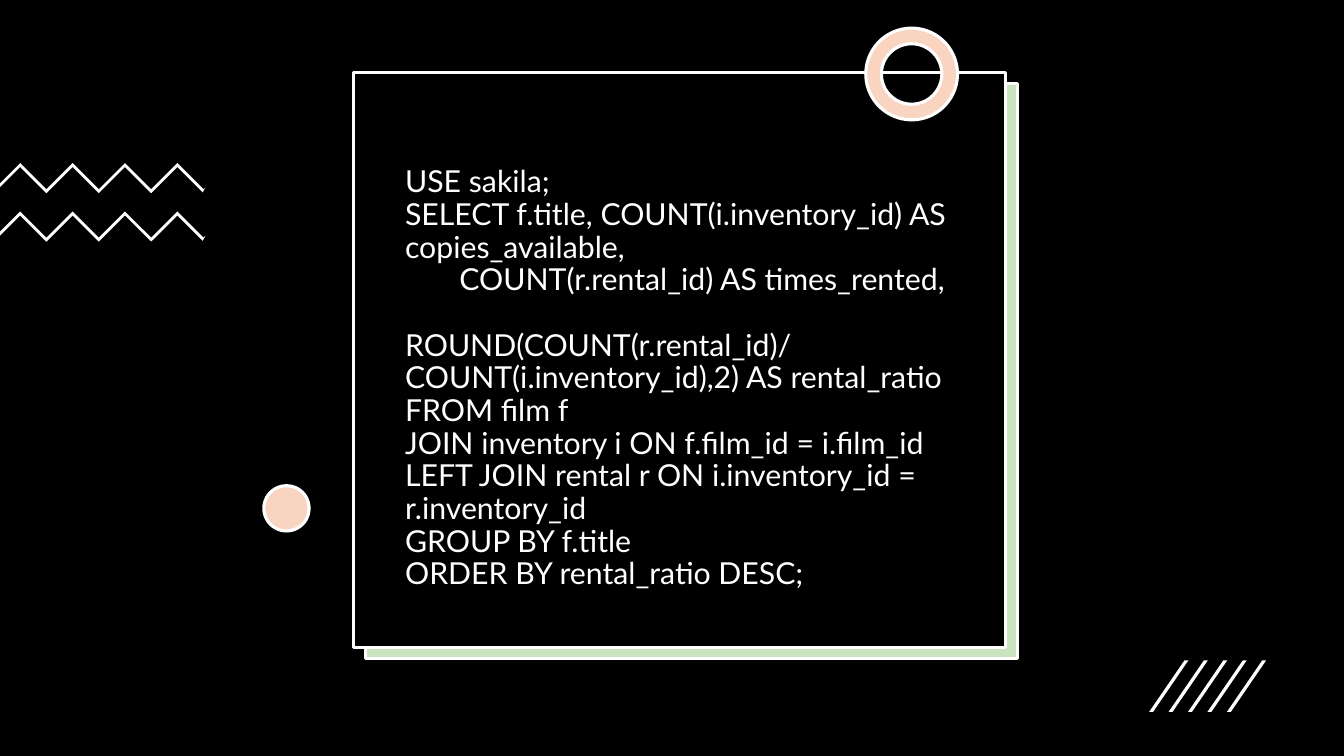
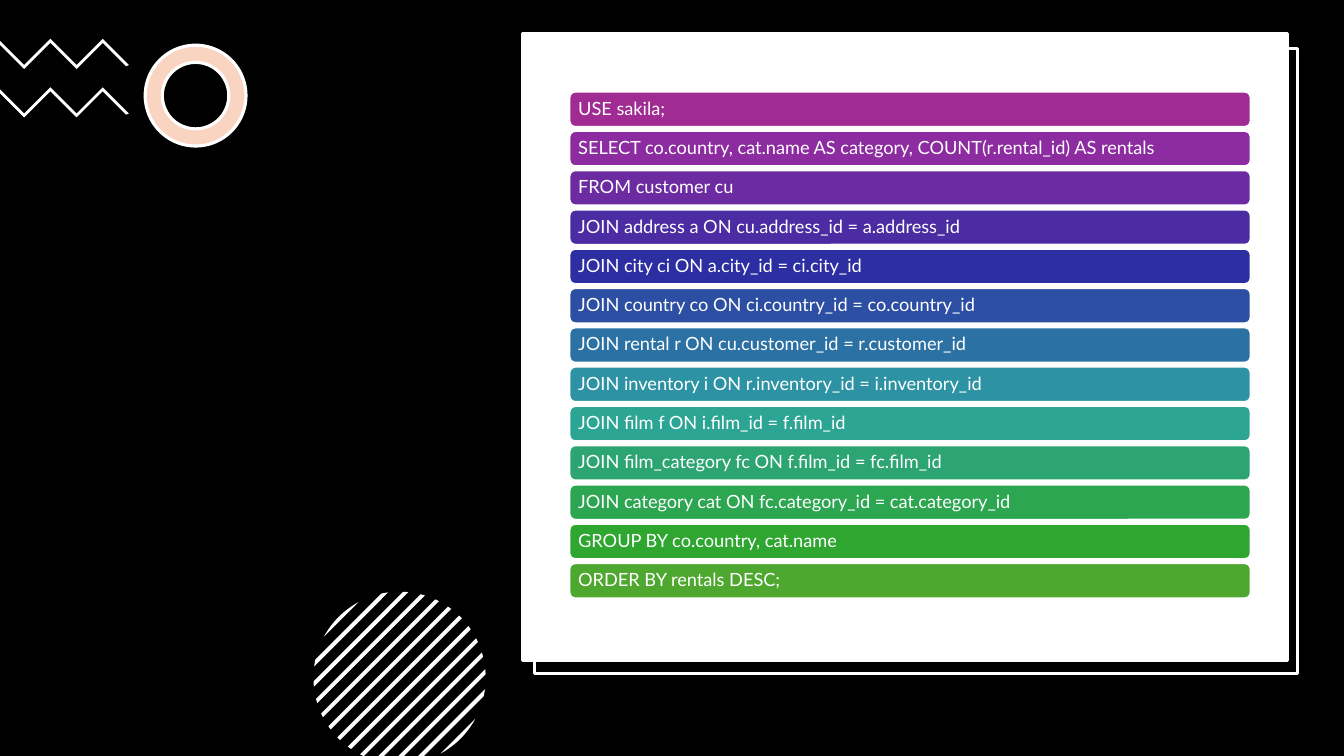
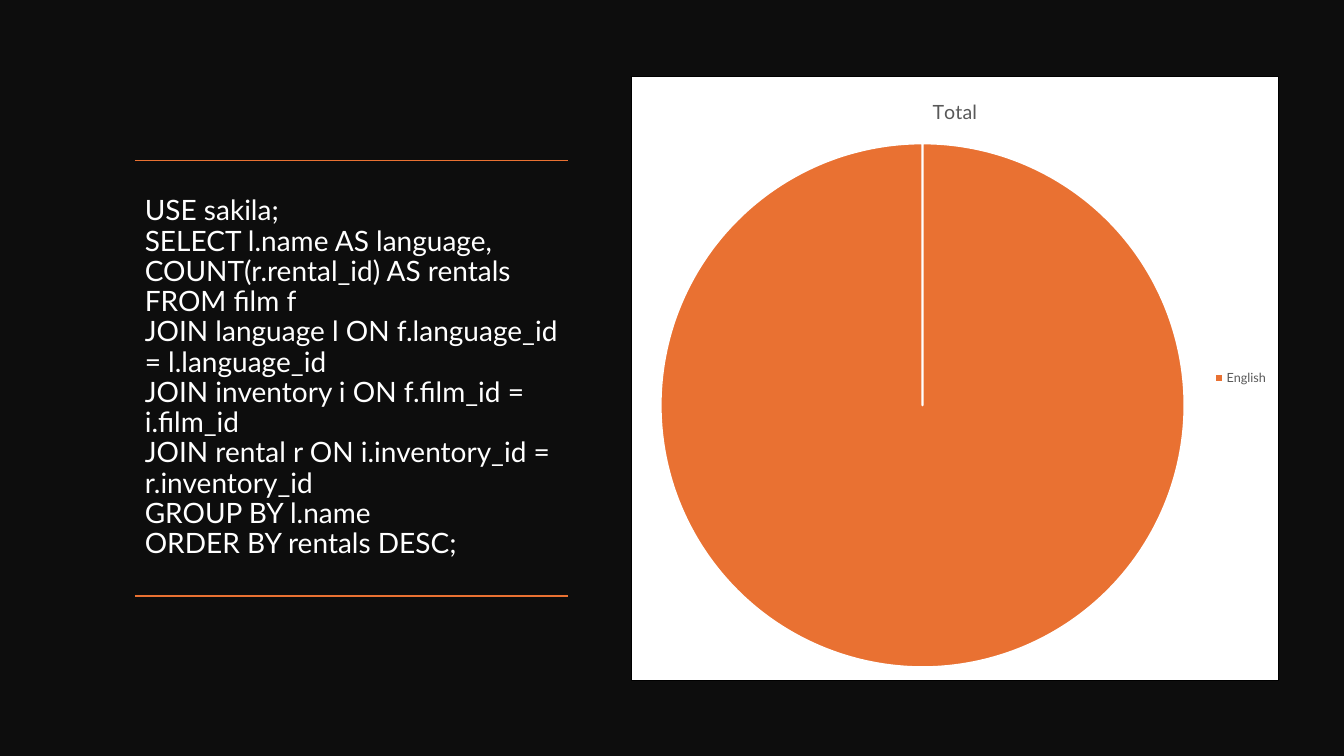
import math
from dataclasses import dataclass

from lxml import etree
from pptx import Presentation
from pptx import util as u
from pptx.chart.data import CategoryChartData
from pptx.dml.color import RGBColor
from pptx.enum import chart as ch
from pptx.enum import shapes, text
from pptx.oxml import ns, parse_xml

Cm, Pt = u.Cm, u.Pt
FONT = "Lato"
BLACK, NEAR_BLACK, WHITE = "000000", "0D0D0D", "FFFFFF"
ORANGE, GREEN, GREY = "E97132", "4EA72E", "595959"
SLIDE_W, SLIDE_H = 33.87, 19.05
OUTLINE = 2.25
SHAPE = shapes.MSO_SHAPE
ANCHOR = text.MSO_ANCHOR


@dataclass(frozen=True)
class Box:
    """Place and size in centimetres."""
    left: float
    top: float
    width: float
    height: float

    def emu(self) -> tuple:
        return Cm(self.left), Cm(self.top), Cm(self.width), Cm(self.height)


@dataclass(frozen=True)
class CodeLine:
    words: str
    indent: float = 0
    before: float = 0


@dataclass(frozen=True)
class Bar:
    words: str
    colour: str


RENTAL_RATIO = [
    CodeLine("USE sakila;"),
    CodeLine("SELECT f.title, COUNT(i.inventory_id) AS copies_available,"),
    CodeLine("COUNT(r.rental_id) AS times_rented,", indent=1.37),
    CodeLine("ROUND(COUNT(r.rental_id)/COUNT(i.inventory_id),2) AS rental_ratio",
             before=23.4),
    CodeLine("FROM film f"),
    CodeLine("JOIN inventory i ON f.film_id = i.film_id"),
    CodeLine("LEFT JOIN rental r ON i.inventory_id = r.inventory_id"),
    CodeLine("GROUP BY f.title"),
    CodeLine("ORDER BY rental_ratio DESC;"),
]

CATEGORY_BARS = [
    Bar("USE sakila;", "A02B93"),
    Bar("SELECT co.country, cat.name AS category, COUNT(r.rental_id) AS rentals",
        "8D2BA1"),
    Bar("FROM customer cu", "6C2BA1"),
    Bar("JOIN address a ON cu.address_id = a.address_id", "4B2CA2"),
    Bar("JOIN city ci ON a.city_id = ci.city_id", "2C2EA2"),
    Bar("JOIN country co ON ci.country_id = co.country_id", "2C4FA3"),
    Bar("JOIN rental r ON cu.customer_id = r.customer_id", "2C71A4"),
    Bar("JOIN inventory i ON r.inventory_id = i.inventory_id", "2D93A4"),
    Bar("JOIN film f ON i.film_id = f.film_id", "2DA594"),
    Bar("JOIN film_category fc ON f.film_id = fc.film_id", "2DA573"),
    Bar("JOIN category cat ON fc.category_id = cat.category_id", "2DA651"),
    Bar("GROUP BY co.country, cat.name", "2EA630"),
    Bar("ORDER BY rentals DESC;", GREEN),
]

LANGUAGE_RENTALS = [
    CodeLine("USE sakila;"),
    CodeLine("SELECT l.name AS language, COUNT(r.rental_id) AS rentals"),
    CodeLine("FROM film f"),
    CodeLine("JOIN language l ON f.language_id = l.language_id"),
    CodeLine("JOIN inventory i ON f.film_id = i.film_id"),
    CodeLine("JOIN rental r ON i.inventory_id = r.inventory_id"),
    CodeLine("GROUP BY l.name"),
    CodeLine("ORDER BY rentals DESC;"),
]


def rgb(colour: str) -> RGBColor:
    return RGBColor.from_string(colour)


def set_font(font, size: float, colour: str) -> None:
    font.name, font.size, font.bold = FONT, Pt(size), False
    font.color.rgb = rgb(colour)


def paint(sp, fill: str, line: str = "", width: float = OUTLINE) -> None:
    sp.shadow.inherit = False
    sp.fill.solid()
    sp.fill.fore_color.rgb = rgb(fill)
    if line:
        sp.line.color.rgb = rgb(line)
        sp.line.width = Pt(width)
    else:
        sp.line.fill.background()


def add_shape(parent, kind, box: Box, fill: str, line: str = "",
              width: float = OUTLINE, adjust: float | None = None):
    sp = parent.shapes.add_shape(kind, *box.emu())
    if adjust is not None:
        sp.adjustments[0] = adjust
    paint(sp, fill, line, width)
    return sp


def add_tinted(slide, kind, box: Box, colour: str,
               adjust: float | None = None) -> None:
    """A white shape under a 30 % wash of the colour, outlined in white."""
    add_shape(slide, kind, box, WHITE, adjust=adjust)
    sp = add_shape(slide, kind, box, colour, WHITE, adjust=adjust)
    clr = sp.fill._xPr.find(ns.qn("a:solidFill"))[0]
    etree.SubElement(clr, ns.qn("a:alpha"), val="30000")


def add_ring(slide, left: float, top: float, size: float) -> None:
    add_tinted(slide, SHAPE.DONUT, Box(left, top, size, size), ORANGE, 0.17)


def add_polygon(parent, points: list) -> None:
    """A white polygon through points given in centimetres."""
    emu = [(Cm(x), Cm(y)) for x, y in points]
    builder = parent.shapes.build_freeform(*emu[0])
    builder.add_line_segments(emu[1:], close=True)
    paint(builder.convert_to_shape(), WHITE)


def add_zigzags(slide, top: float, peak: float, end: float) -> None:
    """Two zigzag bands running in from the left edge; peak is the first crest."""
    step, thick, gap = 0.66, 0.1, 1.22

    def edge(y: float, right: float) -> list:
        turns = [peak + i * step for i in range(10)]
        xs = [0, *(x for x in turns if 0 < x < right), right]
        return [(x, y + abs((x - peak + step) % (2 * step) - step)) for x in xs]

    for y in (top, top + gap):
        add_polygon(slide, edge(y, end) + edge(y + thick, end - 0.07)[::-1])


def add_slashes(slide) -> None:
    group = slide.shapes.add_group_shape()
    for i in range(5):
        add_shape(group, SHAPE.PARALLELOGRAM,
                  Box(28.96 + 0.49 * i, 16.64, 0.99, 1.3), WHITE, adjust=0.9)


def add_hatched_circle(slide) -> None:
    """Diagonal stripes cut to a circle and to the foot of the slide."""
    cx, cy, radius, pitch, thick, arc_steps = 10.07, 17.08, 2.17, 0.355, 0.1, 6
    group = slide.shapes.add_group_shape()
    for k in range(-6, 7):
        near, far = (math.acos(max(-1, min(1, (k * pitch + d) / radius)))
                     for d in (-thick / 2, thick / 2))
        arc = [near + (far - near) * i / arc_steps for i in range(arc_steps + 1)]
        points = []
        for angle in arc + [-a for a in reversed(arc)]:
            x = cx + radius * math.cos(math.pi / 4 + angle)
            y = cy + radius * math.sin(math.pi / 4 + angle)
            over = max(0, y - SLIDE_H)
            points.append((x + over, y - over))
        add_polygon(group, points)


def add_code(slide, box: Box, lines: list, size: float, anchor) -> None:
    tf = slide.shapes.add_textbox(*box.emu()).text_frame
    tf.word_wrap = True
    tf.vertical_anchor = anchor
    for i, line in enumerate(lines):
        p = tf.add_paragraph() if i else tf.paragraphs[0]
        p.text = line.words
        p.line_spacing = 0.9
        p.space_before = Pt(line.before)
        set_font(p.font, size, WHITE)
        if line.indent:
            p._p.get_or_add_pPr().set("marL", str(Cm(line.indent)))


def add_bars(slide, bars: list) -> None:
    for i, bar in enumerate(bars):
        sp = add_shape(slide, SHAPE.ROUNDED_RECTANGLE,
                       Box(14.35, 2.31 + 0.99 * i, 17.17, 0.89),
                       bar.colour, WHITE, 1.5)
        tf = sp.text_frame
        tf.word_wrap = True
        tf.vertical_anchor = ANCHOR.MIDDLE
        tf.margin_left = tf.margin_right = Cm(0.18)
        tf.margin_top = tf.margin_bottom = Cm(0.13)
        p = tf.paragraphs[0]
        p.text = bar.words
        p.alignment = text.PP_ALIGN.LEFT
        p.line_spacing = 0.9
        set_font(p.font, 13, WHITE)


def add_rule(slide, left: float, right: float, y: float) -> None:
    line = slide.shapes.add_connector(shapes.MSO_CONNECTOR.STRAIGHT,
                                      Cm(left), Cm(y), Cm(right), Cm(y))
    line.line.color.rgb = rgb(ORANGE)
    line.line.width = Pt(1)
    etree.SubElement(line._element.spPr, ns.qn("a:effectLst"))


def frame_chart(chart) -> None:
    """White chart area with a thin black border, and a fixed plot area."""
    root = chart.element
    root.find(ns.qn("c:chart")).addnext(parse_xml(
        f'<c:spPr {ns.nsdecls("c", "a")}>'
        f'<a:solidFill><a:srgbClr val="{WHITE}"/></a:solidFill>'
        f'<a:ln w="{Pt(0.75)}"><a:solidFill><a:srgbClr val="{BLACK}"/>'
        '</a:solidFill></a:ln></c:spPr>'))
    plot_area = root.find(".//" + ns.qn("c:plotArea"))
    for old in plot_area.findall(ns.qn("c:layout")):
        plot_area.remove(old)
    places = {"x": 0.045, "y": 0.11, "w": 0.81, "h": 0.87}
    parts = "".join(f'<c:{k} val="{v}"/>' for k, v in places.items())
    plot_area.insert(0, parse_xml(
        f'<c:layout {ns.nsdecls("c")}><c:manualLayout>'
        '<c:layoutTarget val="inner"/><c:xMode val="edge"/><c:yMode val="edge"/>'
        f'{parts}</c:manualLayout></c:layout>'))


def add_language_pie(slide, box: Box) -> None:
    data = CategoryChartData()
    data.categories = ["English"]
    data.add_series("Total", [100])
    chart = slide.shapes.add_chart(ch.XL_CHART_TYPE.PIE, *box.emu(), data).chart
    set_font(chart.font, 10, BLACK)
    chart.has_title = True
    p = chart.chart_title.text_frame.paragraphs[0]
    p.text = "Total"
    set_font(p.font, 14, GREY)
    chart.has_legend = True
    chart.legend.position = ch.XL_LEGEND_POSITION.RIGHT
    chart.legend.include_in_layout = False
    set_font(chart.legend.font, 9, GREY)
    plot = chart.plots[0]
    plot.vary_by_categories = True
    slice_format = plot.series[0].points[0].format
    slice_format.fill.solid()
    slice_format.fill.fore_color.rgb = rgb(ORANGE)
    slice_format.line.color.rgb = rgb(WHITE)
    slice_format.line.width = Pt(1.5)
    frame_chart(chart)


def new_slide(prs, background: str):
    slide = prs.slides.add_slide(prs.slide_layouts[6])
    fill = slide.background.fill
    fill.solid()
    fill.fore_color.rgb = rgb(background)
    return slide


def rental_ratio_slide(prs) -> None:
    slide = new_slide(prs, BLACK)
    add_tinted(slide, SHAPE.RECTANGLE, Box(9.22, 2.11, 16.43, 14.48), GREEN)
    add_shape(slide, SHAPE.RECTANGLE, Box(8.92, 1.83, 16.43, 14.48), BLACK, WHITE)
    add_code(slide, Box(9.96, 3.3, 14.53, 11.73), RENTAL_RATIO, 21.6, ANCHOR.BOTTOM)
    add_ring(slide, 21.82, 0.71, 2.31)
    add_zigzags(slide, 4.11, 0.51, 5.18)
    add_tinted(slide, SHAPE.OVAL, Box(6.65, 12.24, 1.14, 1.14), ORANGE)
    add_slashes(slide)


def category_slide(prs) -> None:
    slide = new_slide(prs, BLACK)
    add_zigzags(slide, 0.98, -0.05, 3.25)
    add_ring(slide, 3.66, 1.14, 2.54)
    add_hatched_circle(slide)
    add_shape(slide, SHAPE.RECTANGLE, Box(13.46, 1.22, 19.25, 15.75), BLACK, WHITE)
    add_shape(slide, SHAPE.RECTANGLE, Box(13.16, 0.84, 19.28, 15.8), WHITE, WHITE)
    add_bars(slide, CATEGORY_BARS)


def language_slide(prs) -> None:
    slide = new_slide(prs, NEAR_BLACK)
    box = Box(3.4, 4.04, 10.92, 10.98)
    add_code(slide, box, LANGUAGE_RENTALS, 20, ANCHOR.MIDDLE)
    for y in (box.top, box.top + box.height):
        add_rule(slide, box.left, box.left + box.width, y)
    add_language_pie(slide, Box(15.9, 1.91, 16.33, 15.24))


def main() -> None:
    prs = Presentation()
    prs.slide_width, prs.slide_height = Cm(SLIDE_W), Cm(SLIDE_H)
    rental_ratio_slide(prs)
    category_slide(prs)
    language_slide(prs)
    prs.save("out.pptx")


if __name__ == "__main__":
    main()
